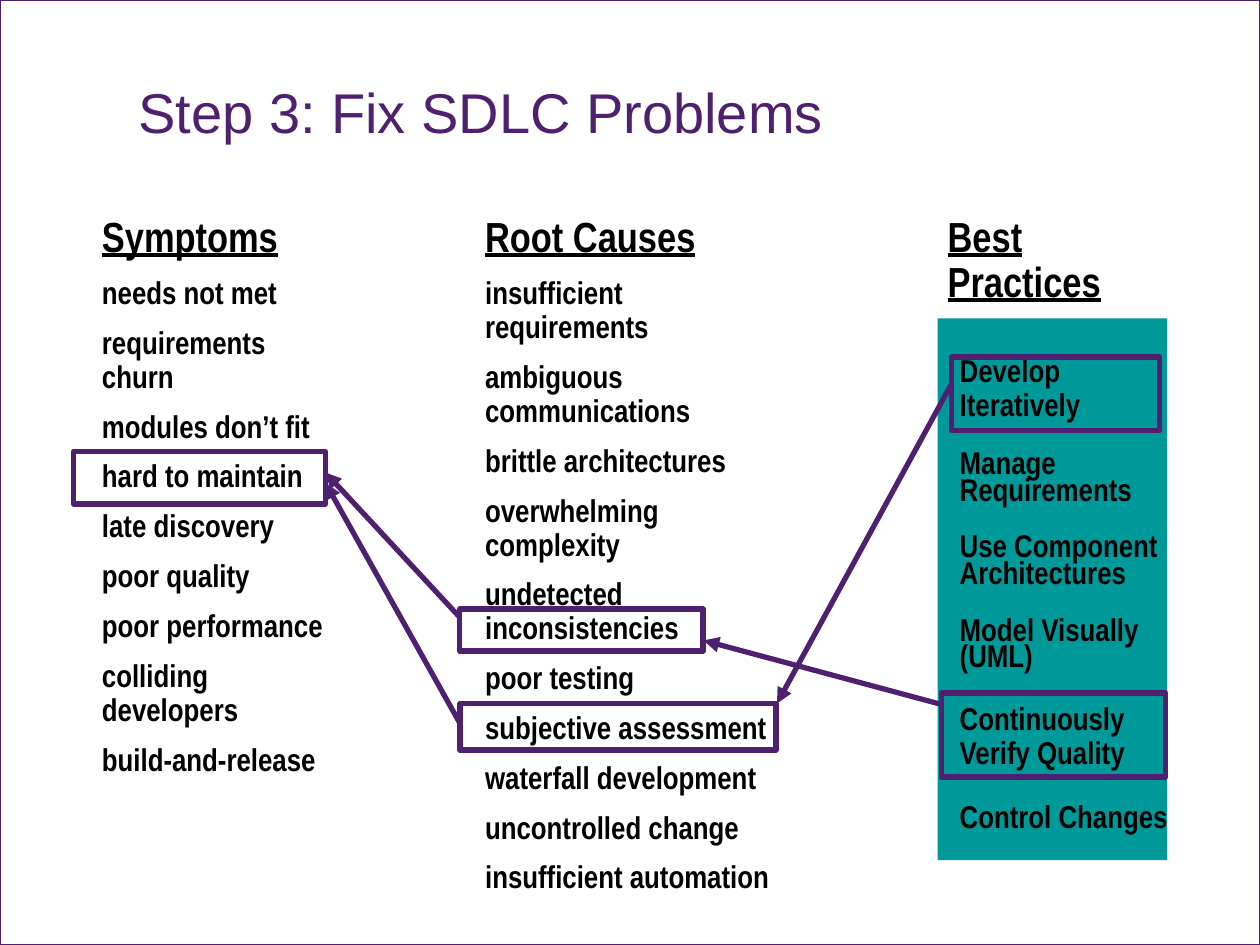
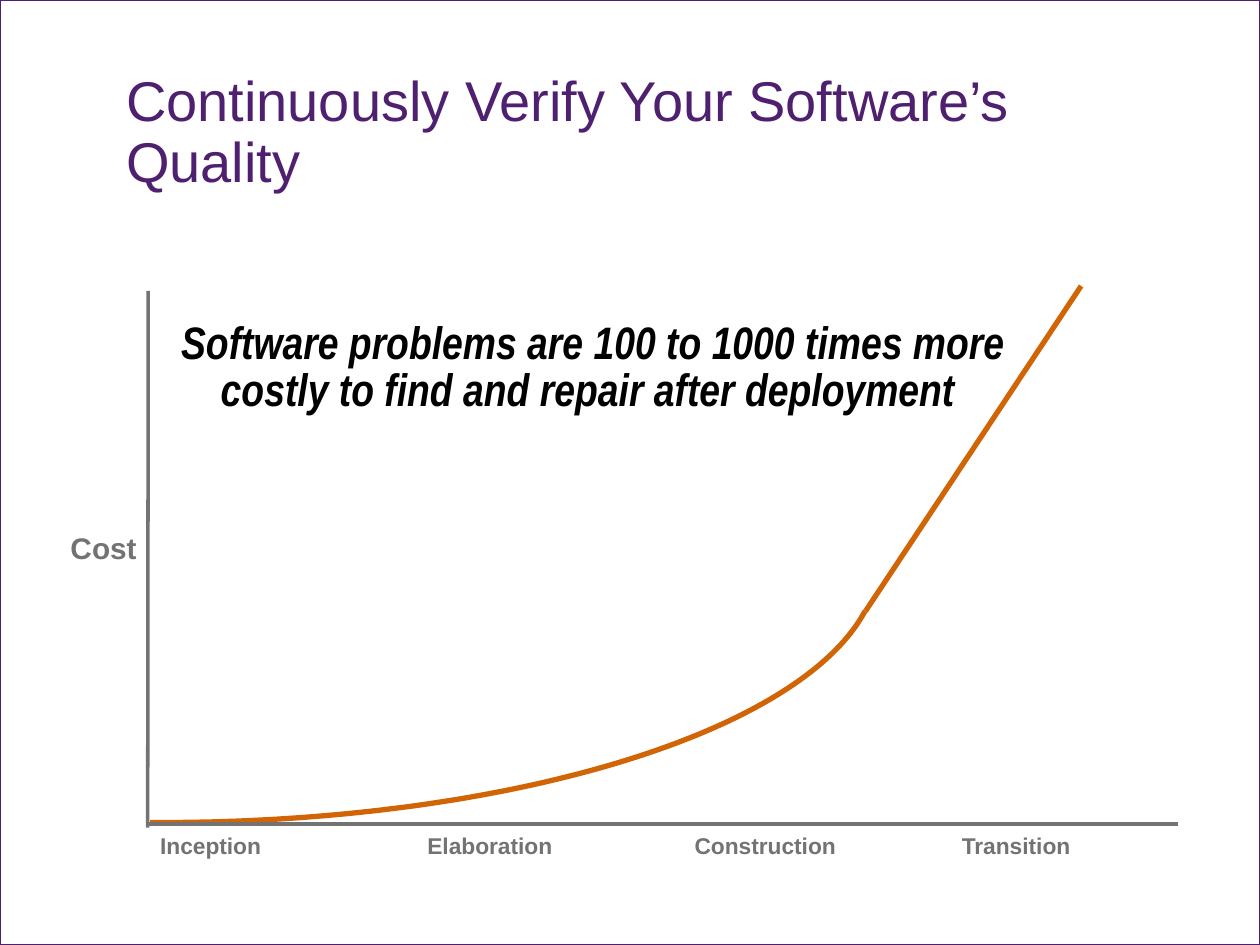
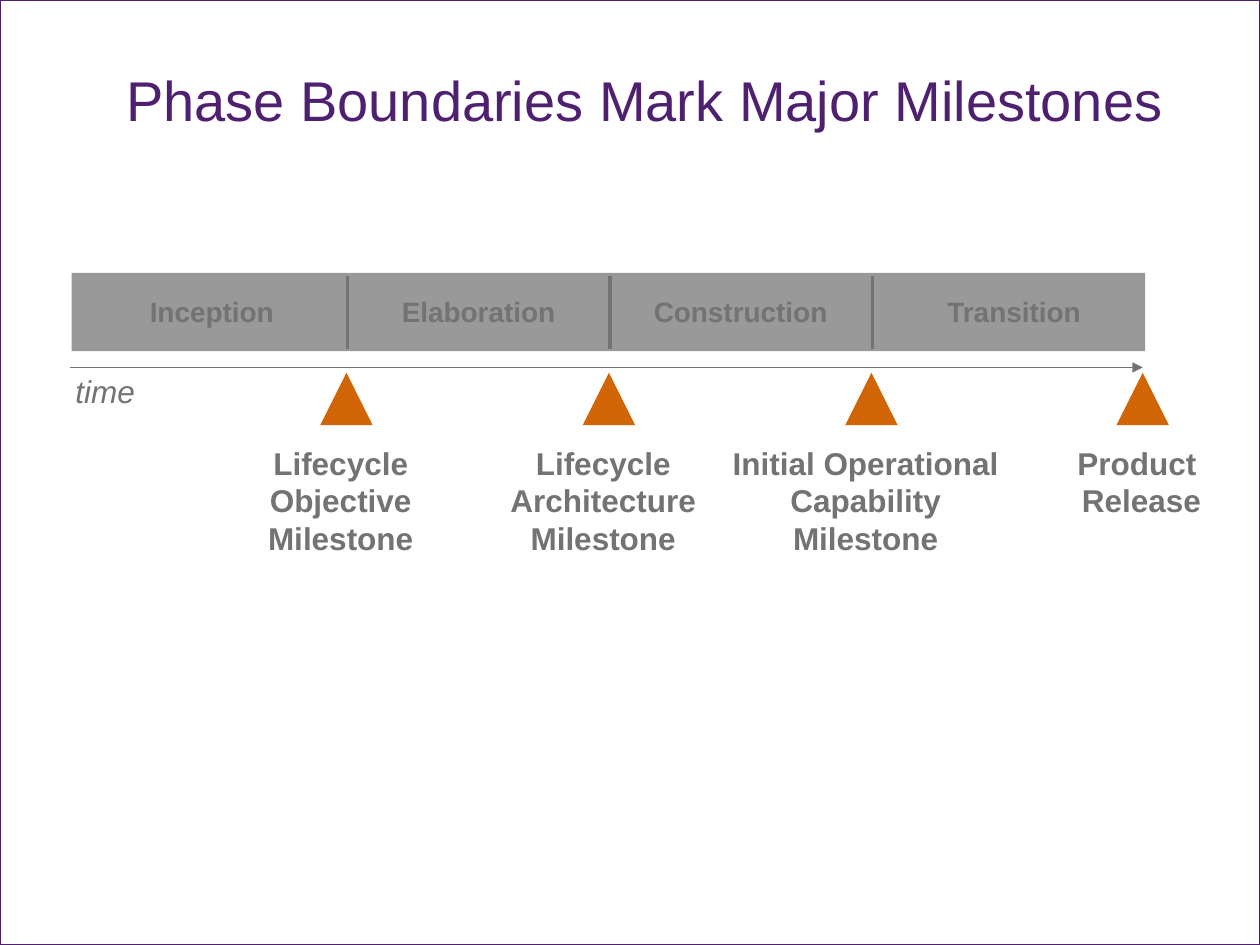
from math import cos, radians, sin

from lxml import etree
from pptx import Presentation
from pptx.dml.color import RGBColor
from pptx.enum.shapes import MSO_CONNECTOR, MSO_SHAPE
from pptx.enum.text import MSO_ANCHOR, MSO_AUTO_SIZE, PP_ALIGN
from pptx.oxml.ns import qn
from pptx.util import Pt

# Enum members
RECT = MSO_SHAPE.RECTANGLE
TRIANGLE = MSO_SHAPE.ISOSCELES_TRIANGLE
STRAIGHT = MSO_CONNECTOR.STRAIGHT
LEFT, CENTER = PP_ALIGN.LEFT, PP_ALIGN.CENTER
TOP, MIDDLE = MSO_ANCHOR.TOP, MSO_ANCHOR.MIDDLE
NO_FIT, GROW = MSO_AUTO_SIZE.NONE, MSO_AUTO_SIZE.SHAPE_TO_FIT_TEXT

# Shared look
PURPLE = RGBColor(0x4F, 0x20, 0x70)
TEAL = RGBColor(0x00, 0x99, 0x99)
ORANGE = RGBColor(0xD1, 0x64, 0x04)
TEXT_GRAY = RGBColor(0x73, 0x73, 0x73)
BAND_GRAY = RGBColor(0x99, 0x99, 0x99)
BLACK = RGBColor(0, 0, 0)
SANS, NARROW = "Arial", "Arial Narrow"
SLIDE_W, SLIDE_H = 720, 540

PHASES = ["Inception", "Elaboration", "Construction", "Transition"]


def add_shape(sl, kind, box, fill=None, line=None, width=3):
    sp = sl.shapes.add_shape(kind, *map(Pt, box))
    sp.shadow.inherit = False
    if fill is None:
        sp.fill.background()
    else:
        sp.fill.solid()
        sp.fill.fore_color.rgb = fill
    if line is None:
        sp.line.fill.background()
    else:
        sp.line.color.rgb = line
        sp.line.width = Pt(width)
    return sp


def add_line(sl, start, end, color, width, arrow=False):
    cn = sl.shapes.add_connector(STRAIGHT, *map(Pt, (*start, *end)))
    cn.line.color.rgb = color
    cn.line.width = Pt(width)
    if arrow:
        ln = cn.line._get_or_add_ln()
        etree.SubElement(ln, qn("a:tailEnd"), type="triangle")
    etree.SubElement(cn._element.spPr, qn("a:effectLst"))


def add_text(sl, box, lines, size, color=TEXT_GRAY, font=SANS, bold=True,
             italic=False, align=LEFT, spacing=1.0, before=0, after=0,
             inset=(7.2, 3.6), anchor=TOP, wrap=True, fit=GROW):
    sp = sl.shapes.add_textbox(*map(Pt, box))
    tf = sp.text_frame
    tf.text = "\n".join(lines)
    tf.word_wrap = wrap
    tf.auto_size = fit
    tf.vertical_anchor = anchor
    tf.margin_left = tf.margin_right = Pt(inset[0])
    tf.margin_top = tf.margin_bottom = Pt(inset[1])
    for i, p in enumerate(tf.paragraphs):
        p.alignment = align
        p.line_spacing = spacing
        p.space_before = Pt(before if i else 0)
        p.space_after = Pt(after)
        for r in p.runs:
            r.font.name = font
            r.font.size = Pt(size)
            r.font.bold = bold
            r.font.italic = italic
            r.font.color.rgb = color
    return tf


def add_tab_stops(p, step, count):
    tabs = etree.SubElement(p._p.get_or_add_pPr(), qn("a:tabLst"))
    for i in range(1, count + 1):
        etree.SubElement(tabs, qn("a:tab"), pos=str(Pt(step * i)), algn="l")


def add_column(sl, box, heading, items=()):
    """Underlined heading with a list of short items below it."""
    tf = add_text(sl, box, [heading, *items], 18, BLACK, NARROW,
                  spacing=0.9, before=9, inset=(6.5, 3.6))
    r = tf.paragraphs[0].runs[0]
    r.font.size = Pt(24)
    r.font.underline = True


def add_slide(prs, title, inset=(0, 0), anchor=TOP):
    """Blank slide with the purple frame and the title."""
    sl = prs.slides.add_slide(prs.slide_layouts[6])
    add_shape(sl, RECT, (0, 0, SLIDE_W, SLIDE_H), line=PURPLE, width=0.75)
    add_text(sl, (72, 42, 600, 48), [title], 32, PURPLE, bold=False,
             spacing=0.9, inset=inset, anchor=anchor, fit=NO_FIT)
    return sl


def build_problems(prs):
    sl = add_slide(prs, "Step 3: Fix SDLC Problems", (7.2, 3.6), MIDDLE)

    # Best practices panel
    add_column(sl, (535, 120, 143.3, 58), "Best Practices")
    add_shape(sl, RECT, (535.8, 182, 131.2, 309.5), fill=TEAL)
    practices = ["Develop Iteratively", "Manage Requirements",
                 "Use Component Architectures", "Model Visually (UML)",
                 "Continuously Verify Quality", "Control Changes"]
    tf = add_text(sl, (541.3, 199.4, 137, 281.5), practices, 18, BLACK,
                  NARROW, spacing=0.9, after=17.3, anchor=MIDDLE)
    for p in tf.paragraphs[1:4]:
        p.line_spacing = 0.7
    tf.paragraphs[-1].space_after = Pt(15.4)

    # Symptoms and causes
    add_column(sl, (270.7, 120, 185.8, 425), "Root Causes", [
        "insufficient requirements", "ambiguous communications",
        "brittle architectures", "overwhelming complexity",
        "undetected inconsistencies", "poor testing",
        "subjective assessment", "waterfall development",
        "uncontrolled change", "insufficient automation"])
    add_column(sl, (51.8, 120, 147, 358), "Symptoms", [
        "needs not met", "requirements churn", "modules don’t fit",
        "hard to maintain", "late discovery", "poor quality",
        "poor performance", "colliding developers", "build-and-release"])

    # Highlighted items and the arrows that link them
    highlights = [
        (543.6, 204, 118.8, 42),      # Develop Iteratively
        (537.8, 396, 128.2, 48),      # Continuously Verify Quality
        (42, 258, 144, 30),           # hard to maintain
        (262.8, 348, 139, 24),        # inconsistencies
        (262.8, 402, 180.7, 26.6),    # subjective assessment
    ]
    for box in highlights:
        add_shape(sl, RECT, box, line=PURPLE)
    arrows = [
        ((537.8, 402.5), (402, 366)),
        ((543.6, 219.6), (444, 402)),
        ((262.8, 352.8), (186, 270)),
        ((262.8, 413.3), (186, 276)),
    ]
    for start, end in arrows:
        add_line(sl, start, end, PURPLE, 3, arrow=True)


def add_cost_curve(sl):
    """Quarter-ellipse rise that turns into a straight climb."""
    cx, cy, rx, ry = 92.9, 320.6, 409, 149.4
    units = 100  # freeform units per point, fine enough for a smooth curve
    points = [(units * (cx + rx * cos(radians(a))),
               units * (cy + ry * sin(radians(a))))
              for a in range(91, 10, -1)]
    fb = sl.shapes.build_freeform(*points[0], scale=Pt(1) / units)
    fb.add_line_segments(points[1:], close=False)
    sp = fb.convert_to_shape()
    sp.shadow.inherit = False
    sp.fill.background()
    sp.line.color.rgb = ORANGE
    sp.line.width = Pt(3)
    add_line(sl, (494.6, 349.2), (617.8, 163.4), ORANGE, 3)


def build_cost(prs):
    sl = add_slide(prs, "Continuously Verify Your Software’s Quality")
    add_text(sl, (90, 180, 498.2, 61), [
        "Software problems are 100 to 1000 times more costly to find "
        "and repair after deployment "], 26, BLACK, NARROW, italic=True,
        align=CENTER, spacing=0.87, inset=(6.5, 3.6))
    add_cost_curve(sl)

    # Axes and their labels
    add_line(sl, (84.7, 166.3), (84.4, 473), TEXT_GRAY, 2)
    add_line(sl, (84.7, 470.9), (673.2, 470.9), TEXT_GRAY, 2)
    tf = add_text(sl, (85, 474, 589, 20), ["\t".join(PHASES)], 13,
                  spacing=0.9, inset=(6.5, 2.9))
    add_tab_stops(tf.paragraphs[0], 152.7, 3)
    add_text(sl, (33.8, 302, 51.1, 24.5), ["Cost"], 17, spacing=0.9,
             inset=(6.5, 2.9), wrap=False)


def build_milestones(prs):
    sl = add_slide(prs, "Phase Boundaries Mark Major Milestones")

    # Phase band
    add_shape(sl, RECT, (41, 156, 613.4, 44.7), fill=BAND_GRAY)
    boundaries = [198 + 150 * i for i in range(3)]
    for x in boundaries:
        add_line(sl, (x + 0.5, 199.4), (x + 0.5, 157.7), TEXT_GRAY, 2)
    phase_spans = [(78.5, 85.7), (222.5, 102.2), (366.5, 113.8), (534.3, 91.4)]
    for phase, (x, w) in zip(PHASES, phase_spans):
        add_text(sl, (x, 165, w, 26.6), [phase], 16, wrap=False)

    # Milestones at the end of each phase
    milestones = [
        (["Lifecycle ", "Objective ", "Milestone "], 110),
        (["Lifecycle ", "Architecture ", "Milestone "], 134),
        (["Initial Operational ", "Capability ", "Milestone "], 180),
        (["Product ", "Release"], 96),
    ]
    for x, (lines, w) in zip([*boundaries, 653], milestones):
        add_shape(sl, TRIANGLE, (x - 15, 213, 30, 30), fill=ORANGE)
        add_text(sl, (x - 0.8 - w / 2, 250, w, 7.2 + 21.6 * len(lines)),
                 lines, 18, align=CENTER)

    # Time axis
    add_line(sl, (40, 210), (653, 210), TEXT_GRAY, 1, arrow=True)
    add_text(sl, (36, 209, 60, 29), ["time"], 18, bold=False, italic=True)


def main():
    prs = Presentation()
    prs.slide_width, prs.slide_height = Pt(SLIDE_W), Pt(SLIDE_H)
    build_problems(prs)
    build_cost(prs)
    build_milestones(prs)
    prs.save("out.pptx")


if __name__ == "__main__":
    main()
